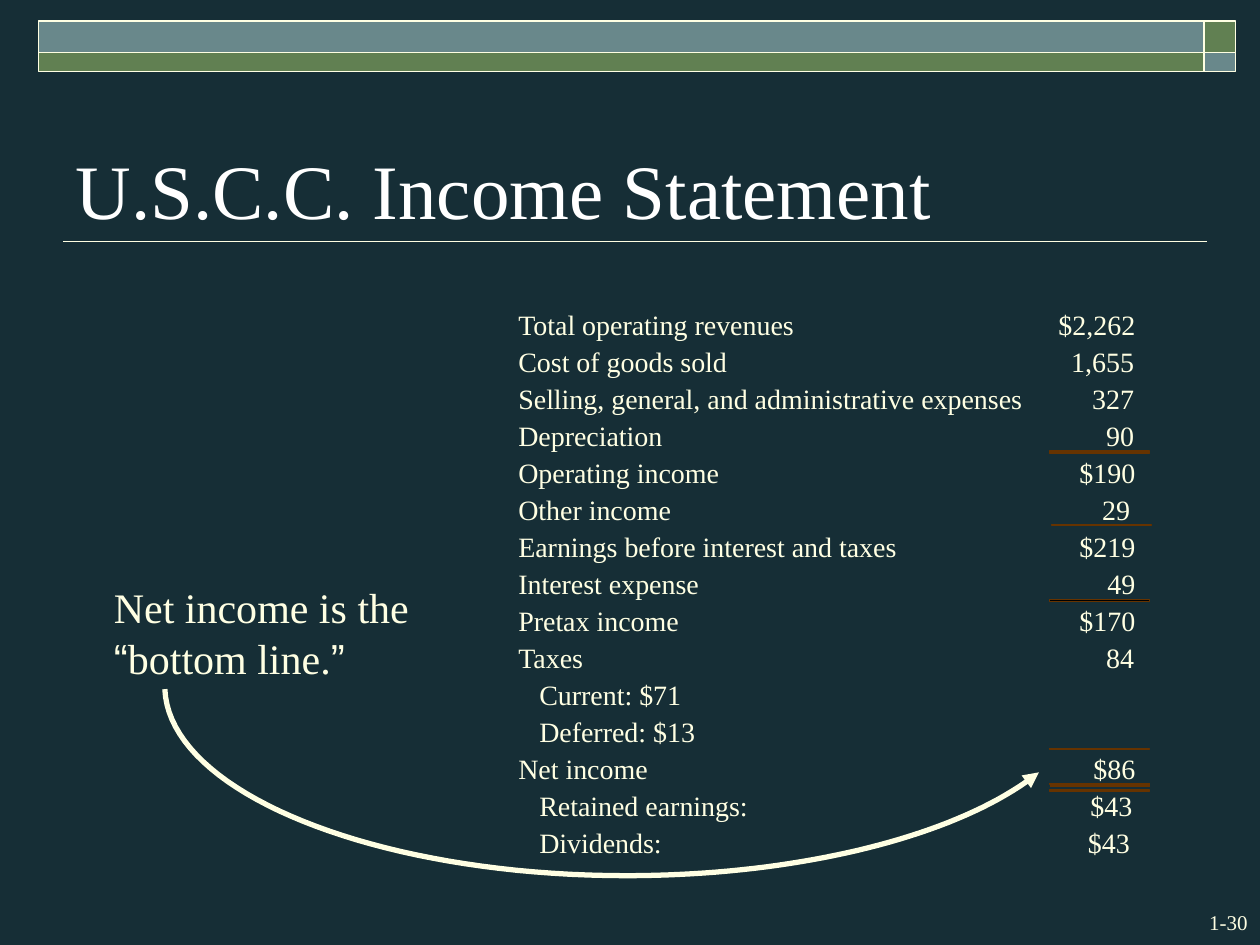
from lxml import etree
from pptx import Presentation
from pptx.dml.color import RGBColor
from pptx.enum.shapes import MSO_CONNECTOR, MSO_SHAPE
from pptx.enum.text import MSO_ANCHOR, PP_ALIGN
from pptx.oxml.ns import qn
from pptx.util import Pt

RECT = MSO_SHAPE.RECTANGLE
STRAIGHT = MSO_CONNECTOR.STRAIGHT
LEFT, RIGHT = PP_ALIGN.LEFT, PP_ALIGN.RIGHT
BOTTOM = MSO_ANCHOR.BOTTOM
SERIF, SANS = "Times New Roman", "Arial"
COLORS = {"bg": "162E36", "cream": "FFFFE3", "white": "FFFFFF", "green": "618052",
          "teal": "69888B", "black": "000000", "brown": "663300"}

# Label, value, indented, shift of the value from the right edge
ROWS = [
    ("Total operating revenues", "$2,262", False, 0),
    ("Cost of goods sold", "1,655", False, -0.7),
    ("Selling, general, and administrative expenses", "327", False, -0.7),
    ("Depreciation", "90", False, -0.7),
    ("Operating income", "$190", False, 0),
    ("Other income", "29", False, -3),
    ("Earnings before interest and taxes", "$219", False, 0),
    ("Interest expense", "49", False, 0),
    ("Pretax income", "$170", False, 0),
    ("Taxes", "84", False, -0.7),
    ("Current: $71", "", True, 0),
    ("Deferred: $13", "", True, 0),
    ("Net income", "$86", False, 0),
    ("Retained earnings:", "$43", True, -1.7),
    ("Dividends:", "$43", True, -3.1),
]
# Offsets of the sum rules from the top of the statement: left, top
RULES = [(303.6, 82.8), (303.6, 82.1), (305, 124), (303.6, 167.2),
         (303.6, 252.1), (303.6, 272.1), (303.6, 275.9)]


def rgb(name):
    return RGBColor.from_string(COLORS[name])


def add_runs(p, runs, size, color="cream"):
    for text, font in runs:
        r = p.add_run()
        r.text = text
        for key, value in {"name": font, "size": Pt(size)}.items():
            setattr(r.font, key, value)
        r.font.color.rgb = rgb(color)


def add_text(slide, box, runs, size, align=LEFT, insets=(0, 0), wrap=True):
    sp = slide.shapes.add_textbox(*map(Pt, box))
    tf = sp.text_frame
    dx, dy = map(Pt, insets)
    formats = {"word_wrap": wrap, "margin_left": dx, "margin_right": dx,
               "margin_top": dy, "margin_bottom": dy}
    for key, value in formats.items():
        setattr(tf, key, value)
    p = tf.paragraphs[0]
    p.alignment = align
    add_runs(p, runs, size)
    return p


def add_rect(slide, box, fill, line, width):
    sp = slide.shapes.add_shape(RECT, *map(Pt, box))
    sp.shadow.inherit = False
    sp.fill.solid()
    sp.fill.fore_color.rgb = rgb(fill)
    sp.line.color.rgb = rgb(line)
    sp.line.width = Pt(width)


def add_line(slide, x1, y1, x2, y2, color, width):
    sp = slide.shapes.add_connector(STRAIGHT, *map(Pt, (x1, y1, x2, y2)))
    sp.line.color.rgb = rgb(color)
    sp.line.width = Pt(width)
    etree.SubElement(sp._element.spPr, qn("a:effectLst"))


def add_banner(slide, x, y, w, h):
    """Two-by-two band of alternating colours."""
    side, top = 18, 18
    columns = [(x, w - side), (x + w - side, side)]
    rows = [(y, top), (y + top, h - top)]
    for i, (left, width) in enumerate(columns):
        for j, (upper, height) in enumerate(rows):
            fill = "teal" if i == j else "green"
            add_rect(slide, (left, upper, width, height), fill, "cream", 1)


def add_title(slide, x, y, w, h):
    sp = slide.shapes.title
    for key, value in zip(("left", "top", "width", "height"), (x, y, w, h)):
        setattr(sp, key, Pt(value))
    tf = sp.text_frame
    tf.vertical_anchor = BOTTOM
    p = tf.paragraphs[0]
    p.alignment = LEFT
    add_runs(p, [("U.S.C.C. Income Statement", SERIF)], 44, "white")
    add_line(slide, x, y + h, x + w + 6, y + h, "cream", 1)


def add_statement(slide, x, y, w, h):
    pitch = h / len(ROWS)
    value_w = 60
    for i, (label, value, indented, shift) in enumerate(ROWS):
        top = y + i * pitch
        p = add_text(slide, (x, top, 295, 19.4), [(label, SERIF)], 16, wrap=False)
        if indented:
            p._p.get_or_add_pPr().set("marL", str(Pt(12)))
        if value:
            box = (x + w - value_w + shift, top, value_w, 19.4)
            add_text(slide, box, [(value, SERIF)], 16, RIGHT)
    # Sum rules
    for dx, dy in RULES:
        add_rect(slide, (x + dx, y + dy, 57, 0.8), "black", "brown", 0.75)
    add_line(slide, x + 303.6, y + 272.9, x + 361, y + 272.9, "brown", 0)


def bezier(a, b, c, d, steps=40):
    for i in range(1, steps + 1):
        t = i / steps
        u = 1 - t
        yield tuple(u**3 * k + 3 * u * u * t * m + 3 * u * t * t * n + t**3 * q
                    for k, m, n, q in zip(a, b, c, d))


def add_arrow(slide, x, y, w, h):
    """Curve from the note, down and up to the net income."""
    start, low, end = (x, y), (x + 0.528 * w, y + h), (x + w, y + 0.446 * h)
    points = [*bezier(start, (x + 0.005 * w, y + 0.554 * h), (x + 0.24 * w, y + h), low),
              *bezier(low, (x + 0.728 * w, y + h), (x + 0.91 * w, y + 0.784 * h), end)]
    fb = slide.shapes.build_freeform(*map(Pt, start))
    fb.add_line_segments([tuple(map(Pt, pt)) for pt in points], close=False)
    sp = fb.convert_to_shape()
    sp.shadow.inherit = False
    sp.fill.background()
    sp.line.color.rgb = rgb("cream")
    sp.line.width = Pt(3)
    etree.SubElement(sp.line._get_or_add_ln(), qn("a:tailEnd"), type="triangle")


def add_note(slide, x, y, w, h):
    runs = [("Net income is the ", SERIF), ("“", SANS), ("bottom line.", SERIF), ("”", SANS)]
    add_text(slide, (x, y, w, h), runs, 24, insets=(7.2, 3.6))


def main():
    prs = Presentation()
    prs.slide_width, prs.slide_height = Pt(720), Pt(540)
    slide = prs.slides.add_slide(prs.slide_layouts[5])
    slide.background.fill.solid()
    slide.background.fill.fore_color.rgb = rgb("bg")

    add_banner(slide, 22, 12, 684, 29)
    add_title(slide, 36, 48, 648, 90)
    add_statement(slide, 296.2, 175.6, 352.5, 317.1)
    add_note(slide, 58, 329, 198, 65)
    add_arrow(slide, 94.2, 393.8, 499.5, 106.6)
    # Page number
    add_text(slide, (660, 516, 60, 22), [("1-30", SERIF)], 12, RIGHT, (7.2, 3.6))
    prs.save("out.pptx")


if __name__ == "__main__":
    main()
